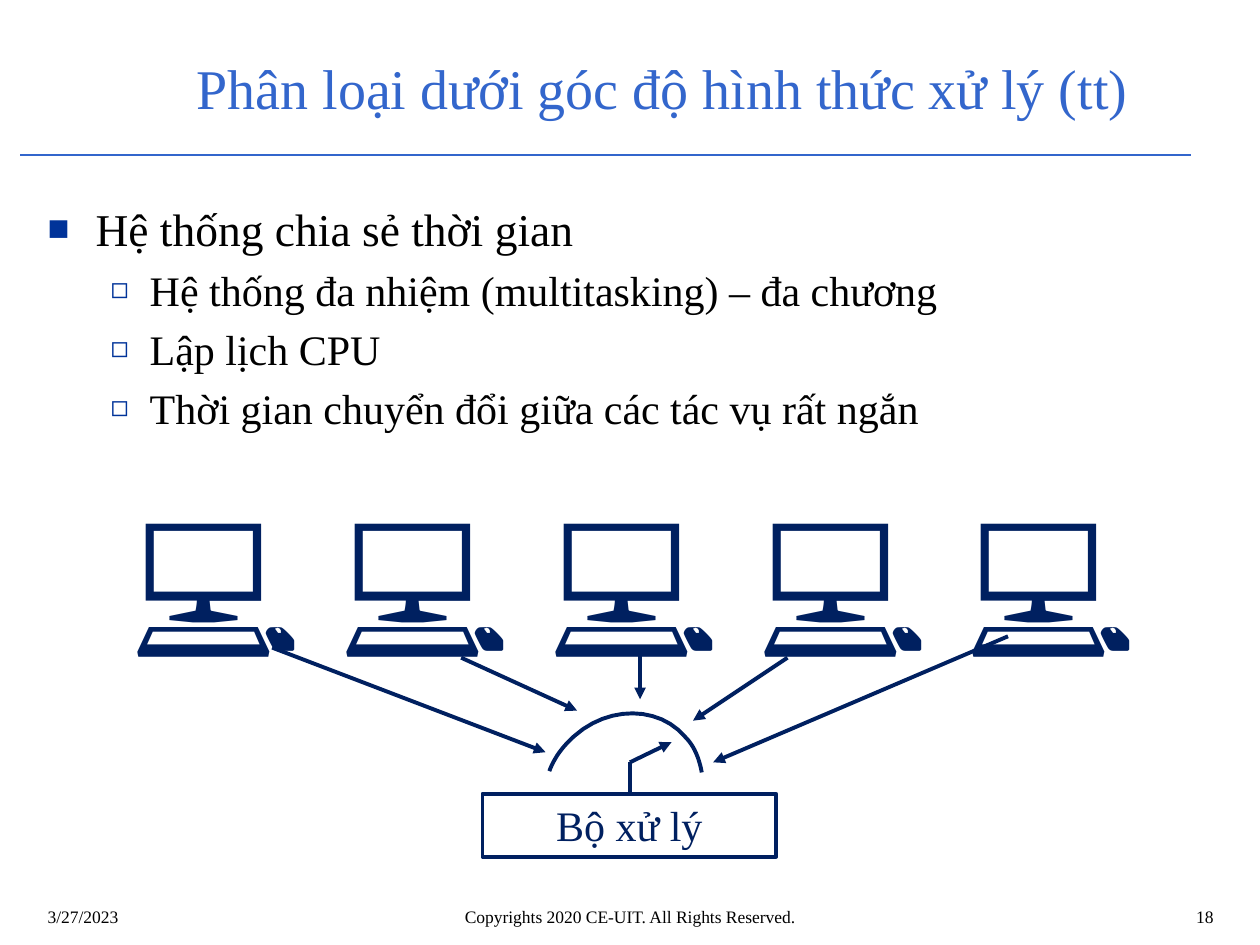
from lxml import etree
from pptx import Presentation
from pptx import util as u
from pptx.dml.color import RGBColor
from pptx.enum import shapes, text
from pptx.oxml import ns

BLUE = RGBColor(0x33, 0x66, 0xCC)
NAVY = RGBColor(0x00, 0x20, 0x60)
MARK = RGBColor(0x00, 0x33, 0x99)
BLACK = RGBColor(0, 0, 0)
ALIGN = text.PP_ALIGN
LEVELS = {  # margin, hang, bullet, bullet size in %
    0: (0.38, 0.38, "■", 80),
    1: (0.81, 0.31, "◻", 70),
}


def add_node(parent, tag, **attrs):
    return etree.SubElement(parent, ns.qn(tag), attrs)


def bezier(p, q, r, s, steps=12):
    """Points along a cubic curve, without its first one."""
    for i in range(1, steps + 1):
        t = i / steps
        v = 1 - t
        yield tuple(v**3 * a + 3 * v * v * t * b + 3 * v * t * t * c + t**3 * d
                    for a, b, c, d in zip(p, q, r, s))


class Deck:
    font = "Times New Roman"
    width = u.Pt(2.25)

    def __init__(self):
        self.prs = Presentation()
        self.prs.slide_width = u.Inches(10)
        self.prs.slide_height = u.Inches(7.5)
        self.slide = self.prs.slides.add_slide(self.prs.slide_layouts[5])
        self.shapes = self.slide.shapes

    def put(self, par, words, size, color, align, before=0):
        """Add one run; before is the space above in % of a line."""
        par.alignment = align
        run = par.add_run()
        run.text = words
        run.font.name = self.font
        run.font.size = u.Pt(size)
        run.font.color.rgb = color
        if before:
            space = add_node(par._p.get_or_add_pPr(), "a:spcBef")
            add_node(space, "a:spcPct", val=str(before * 1000))

    def title(self, words, x, y, w, h):
        box = self.shapes.title
        box.left, box.top, box.width, box.height = map(u.Inches, (x, y, w, h))
        frame = box.text_frame
        frame.auto_size = text.MSO_AUTO_SIZE.NONE
        frame.vertical_anchor = text.MSO_ANCHOR.MIDDLE
        self.put(frame.paragraphs[0], words, 32, BLUE, ALIGN.LEFT)

    def label(self, words, x, y, w, h, size, color, align, before=0):
        box = self.shapes.add_textbox(*map(u.Inches, (x, y, w, h)))
        box.text_frame.word_wrap = True
        self.put(box.text_frame.paragraphs[0], words, size, color, align, before)
        return box

    def frame(self, words, x, y, w, h):
        box = self.label(words, x, y, w, h, 24, NAVY, ALIGN.CENTER, 50)
        box.line.color.rgb = NAVY
        box.line.width = self.width

    def bullets(self, items, x, y, w, h):
        box = self.shapes.add_textbox(*map(u.Inches, (x, y, w, h)))
        frame = box.text_frame
        frame.word_wrap = True
        for i, (level, words) in enumerate(items):
            par = frame.add_paragraph() if i else frame.paragraphs[0]
            par.level = level
            self.put(par, words, 24 if level else 26, BLACK, ALIGN.JUSTIFY, 20)
            margin, hang, mark, size = LEVELS[level]
            props = par._p.get_or_add_pPr()
            props.set("marL", str(u.Inches(margin)))
            props.set("indent", str(-u.Inches(hang)))
            add_node(add_node(props, "a:buClr"), "a:srgbClr", val=str(MARK))
            add_node(props, "a:buSzPct", val=str(size * 1000))
            add_node(props, "a:buFont", typeface=self.font)
            add_node(props, "a:buChar", char=mark)

    def line(self, start, end, color=NAVY, width=width, arrow=False):
        link = self.shapes.add_connector(
            shapes.MSO_CONNECTOR.STRAIGHT, *map(u.Inches, (*start, *end)))
        link.line.color.rgb = color
        link.line.width = width
        if arrow:
            add_node(link.line._get_or_add_ln(), "a:tailEnd", type="triangle")
        add_node(link._element.spPr, "a:effectLst")

    def curve(self, start, *parts):
        """Open outline through cubic parts, each two handles and an end."""
        dots, last = [], start
        for part in parts:
            dots += bezier(last, *part)
            last = part[-1]
        pen = self.shapes.build_freeform(*map(u.Inches, start))
        pen.add_line_segments(
            [(u.Inches(x), u.Inches(y)) for x, y in dots], close=False)
        arc = pen.convert_to_shape()
        arc.fill.background()
        arc.line.color.rgb = NAVY
        arc.line.width = self.width
        arc.shadow.inherit = False


def main():
    deck = Deck()
    deck.line((0.16, 1.23), (9.45, 1.23), BLUE, u.Pt(0.75))
    deck.title("Phân loại dưới góc độ hình thức xử lý (tt)", 1.46, 0.31, 8.04, 0.76)
    for words, x, w, align in (
        ("3/27/2023", 0.28, 2.33, ALIGN.LEFT),
        ("Copyrights 2020 CE-UIT. All Rights Reserved.", 1.93, 6.14, ALIGN.CENTER),
        ("18", 7.81, 1.92, ALIGN.RIGHT),
    ):
        deck.label(words, x, 7.14, w, 0.32, 10, BLACK, align)
    deck.bullets((
        (0, "Hệ thống chia sẻ thời gian"),
        (1, "Hệ thống đa nhiệm (multitasking) – đa chương"),
        (1, "Lập lịch CPU"),
        (1, "Thời gian chuyển đổi giữa các tác vụ rất ngắn"),
    ), 0.28, 1.55, 9.45, 5.28)
    deck.label(" ".join("💻" * 5), 0.41, 3.72, 9.25, 1.6, 90, NAVY, ALIGN.CENTER, 50)

    deck.frame("Bộ xử lý", 3.83, 6.3, 2.33, 0.5)
    deck.curve((5.57, 6.13),
               ((5.55, 6.02), (5.51, 5.92), (5.44, 5.85)),
               ((5.23, 5.6), (4.83, 5.6), (4.56, 5.84)),
               ((4.47, 5.92), (4.4, 6.01), (4.36, 6.12)))
    deck.line((5, 6.3), (5, 6.05))
    for start, end in (
        ((5, 6.05), (5.33, 5.89)),
        ((2.16, 5.14), (4.33, 5.97)),
        ((8, 5.05), (5.66, 6.05)),
        ((3.66, 5.22), (4.58, 5.64)),
        ((6.25, 5.22), (5.5, 5.72)),
        ((5.08, 5.14), (5.08, 5.55)),
    ):
        deck.line(start, end, arrow=True)
    deck.prs.save("out.pptx")


if __name__ == "__main__":
    main()
